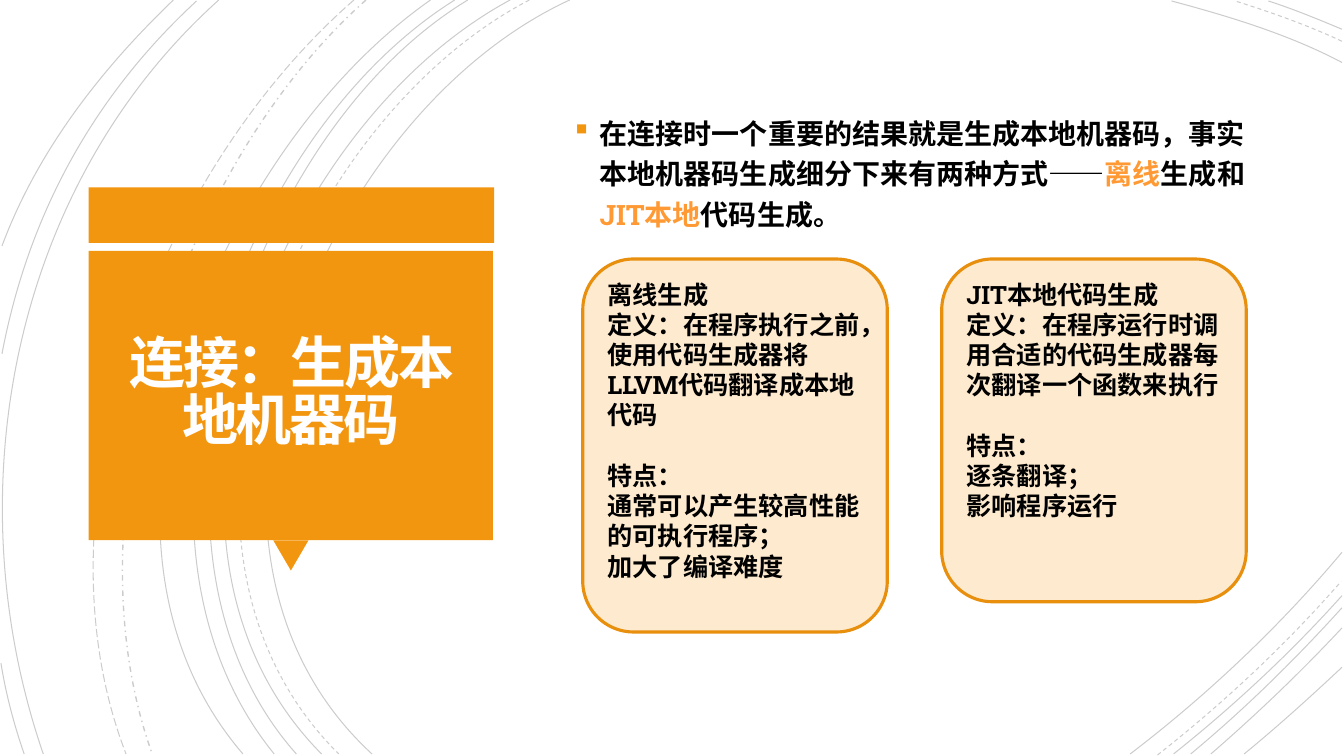
import lxml.etree
import pptx
import pptx.dml.color
import pptx.enum.dml
import pptx.enum.shapes
import pptx.enum.text
import pptx.oxml.ns
import pptx.util

Inches = pptx.util.Inches
Pt = pptx.util.Pt
qn = pptx.oxml.ns.qn
SHAPES = pptx.enum.shapes.MSO_SHAPE
ANCHOR = pptx.enum.text.MSO_ANCHOR
ALIGN = pptx.enum.text.PP_ALIGN
DASH = pptx.enum.dml.MSO_LINE

COLORS = {
    "orange": "F3960F",
    "border": "E88F0E",
    "card": "FDEACF",
    "accent": "FF9933",
    "white": "FFFEFF",
    "black": "000000",
}
BODY = {"name": "Roboto Slab", "bold": True}


def rgb(name):
    return pptx.dml.color.RGBColor.from_string(COLORS[name])


def add_span(para, text, color, **font_values):
    span = para.add_run()
    span.text = text
    span.font.color.rgb = rgb(color)
    for name, value in font_values.items():
        setattr(span.font, name, value)
    return span


deck = pptx.Presentation()
deck.slide_width, deck.slide_height = Inches(13.33), Inches(7.5)
page = deck.slides.add_slide(deck.slide_layouts[6])

# Background arcs: start, two control points and end of each cubic curve
ARCS = [
    (DASH.SOLID, 0.75, [
        (5.65, 0, 3.15, 1.15, 1.43, 5.4, 3.69, 7.48),
        (13.31, 0.62, 12.78, 0.34, 12.18, 0.16, 11.62, 0.01),
        (11.21, 7.48, 11.97, 6.9, 12.69, 6.22, 13.31, 5.48),
        (5.06, 0, 2.7, 1.27, 1.1, 5.37, 3.19, 7.48),
        (13.31, 0.29, 13.07, 0.19, 12.83, 0.09, 12.58, 0.01),
        (11.64, 7.48, 12.23, 7.01, 12.8, 6.48, 13.31, 5.91),
        (4.64, 0, 2.44, 1.33, 1.1, 5.41, 2.94, 7.48),
        (11.81, 7.48, 12.34, 7.04, 12.84, 6.55, 13.31, 6.03),
        (4.51, 0, 2.31, 1.38, 0.97, 5.33, 2.72, 7.48),
        (12.01, 7.48, 12.46, 7.09, 12.9, 6.67, 13.31, 6.23),
        (4.27, 0, 2.17, 1.47, 0.53, 5.29, 2.41, 7.48),
        (12.34, 7.48, 12.67, 7.21, 12.99, 6.92, 13.31, 6.62),
        (2.17, 0, 0.11, 1.85, -0.46, 4.9, 0.43, 7.48),
        (1.95, 0.01, 0.92, 0.96, 0.28, 2.14, 0.02, 3.51),
        (0.01, 6.58, 0.06, 6.89, 0.14, 7.19, 0.24, 7.48),
        (1.72, 0, 1, 0.69, 0.37, 1.5, 0.02, 2.44),
    ]),
    (DASH.DASH, 0.75, [
        (5.25, 0, 2.85, 1.25, 1.23, 5.37, 3.36, 7.48),
        (13.31, 0.41, 12.97, 0.25, 12.6, 0.12, 12.25, 0.01),
        (11.48, 7.49, 12.13, 6.98, 12.75, 6.4, 13.3, 5.77),
    ]),
    (DASH.DASH_DOT, 1, [(3.63, 0, 1.76, 1.66, 0.65, 5.09, 1.51, 7.48)]),
    (DASH.LONG_DASH, 0.75, [(3.51, 0, 1.57, 1.69, 0.29, 4.99, 1.25, 7.48)]),
]
for dash, width, curves in ARCS:
    for curve in curves:
        points = [(Inches(x), Inches(y)) for x, y in zip(curve[::2], curve[1::2])]
        builder = page.shapes.build_freeform(*points[0])
        builder.add_line_segments(points[1:], close=False)
        arc = builder.convert_to_shape()
        # Join the three straight segments into one cubic curve
        segments = list(arc._element.iter(qn("a:lnTo")))
        cubic = lxml.etree.SubElement(segments[0].getparent(), qn("a:cubicBezTo"))
        for segment in segments:
            cubic.append(segment[0])
            segment.getparent().remove(segment)
        arc.shadow.inherit = False
        arc.fill.background()
        arc.line.color.rgb = rgb("black")
        arc.line.width = Pt(width)
        arc.line.dash_style = dash
        for color in arc.line._ln.iter(qn("a:srgbClr")):
            lxml.etree.SubElement(color, qn("a:alpha"), val="20000")

# Orange title block: top band, pointer and main panel
for kind, left, top, width, height, rotation in [
    (SHAPES.RECTANGLE, 0.88, 1.86, 4.02, 0.55, 0),
    (SHAPES.ISOSCELES_TRIANGLE, 2.71, 5.36, 0.35, 0.3, 180),
    (SHAPES.RECTANGLE, 0.88, 2.49, 4.01, 2.87, 0),
]:
    block = page.shapes.add_shape(
        kind, Inches(left), Inches(top), Inches(width), Inches(height))
    block.rotation = rotation
    block.shadow.inherit = False
    block.fill.solid()
    block.fill.fore_color.rgb = rgb("orange")
    block.line.fill.background()

# Title
box = page.shapes.add_textbox(Inches(0.97), Inches(2.57), Inches(3.83), Inches(2.69))
frame = box.text_frame
frame.word_wrap = True
frame.vertical_anchor = ANCHOR.MIDDLE
for side in ("left", "right", "top", "bottom"):
    setattr(frame, "margin_" + side, Inches(0.25))
para = frame.paragraphs[0]
para.alignment = ALIGN.CENTER
para.line_spacing = 0.85
span = add_span(para, "连接：生成本地机器码", "white", name="Calibri", size=Pt(40), bold=True)
span.font._element.set("spc", "-150")

# Introduction with a square bullet
box = page.shapes.add_textbox(Inches(5.6), Inches(0.88), Inches(6.87), Inches(5.74))
box.text_frame.word_wrap = True
box.text_frame.margin_top = Inches(0.21)
para = box.text_frame.paragraphs[0]
para.line_spacing = 1.2
for text, color in [
    ("在连接时一个重要的结果就是生成本地机器码，事实本地机器码生成细分下来有两种方式——", "black"),
    ("离线", "accent"),
    ("生成和", "black"),
    ("JIT本地", "accent"),
    ("代码生成。", "black"),
]:
    add_span(para, text, color, size=Pt(20), **BODY)
settings = para._p.get_or_add_pPr()
settings.set("marL", str(Inches(0.25)))
settings.set("indent", str(Inches(-0.25)))
bullet_color = lxml.etree.SubElement(settings, qn("a:buClr"))
lxml.etree.SubElement(bullet_color, qn("a:srgbClr"), val=COLORS["orange"])
lxml.etree.SubElement(settings, qn("a:buSzPct"), val="110000")
lxml.etree.SubElement(settings, qn("a:buFont"), typeface="Wingdings", charset="2")
lxml.etree.SubElement(settings, qn("a:buChar"), char="§")

# Cards comparing the two ways of generating code
FEATURES = "特点："
CARDS = [
    (5.78, 3.7, ["离线生成",
                 "定义：在程序执行之前，使用代码生成器将LLVM代码翻译成本地代码",
                 FEATURES, "通常可以产生较高性能的可执行程序；", "加大了编译难度"]),
    (9.34, 3.4, ["JIT本地代码生成",
                 "定义：在程序运行时调用合适的代码生成器每次翻译一个函数来执行",
                 FEATURES, "逐条翻译；", "影响程序运行"]),
]
for left, height, lines in CARDS:
    card = page.shapes.add_shape(
        SHAPES.ROUNDED_RECTANGLE, Inches(left), Inches(2.57), Inches(3.02), Inches(height))
    card.shadow.inherit = False
    card.fill.solid()
    card.fill.fore_color.rgb = rgb("card")
    card.line.color.rgb = rgb("border")
    card.line.width = Pt(2.25)
    frame = card.text_frame
    frame.word_wrap = True
    frame.vertical_anchor = ANCHOR.TOP
    for index, text in enumerate(lines):
        para = frame.paragraphs[0] if index == 0 else frame.add_paragraph()
        para.alignment = ALIGN.LEFT
        if text == FEATURES:
            para.space_before = Pt(21.6)
        add_span(para, text, "black", size=Pt(18), **BODY)

deck.save("out.pptx")
